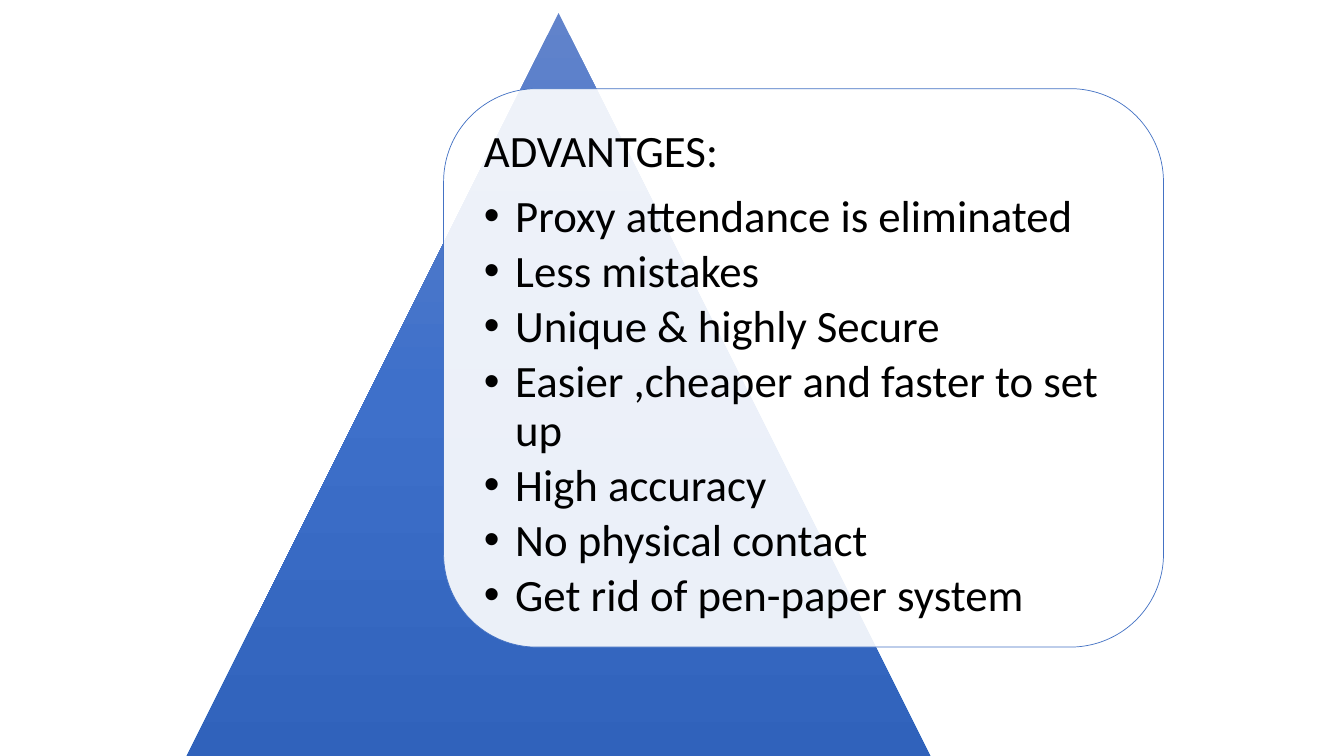
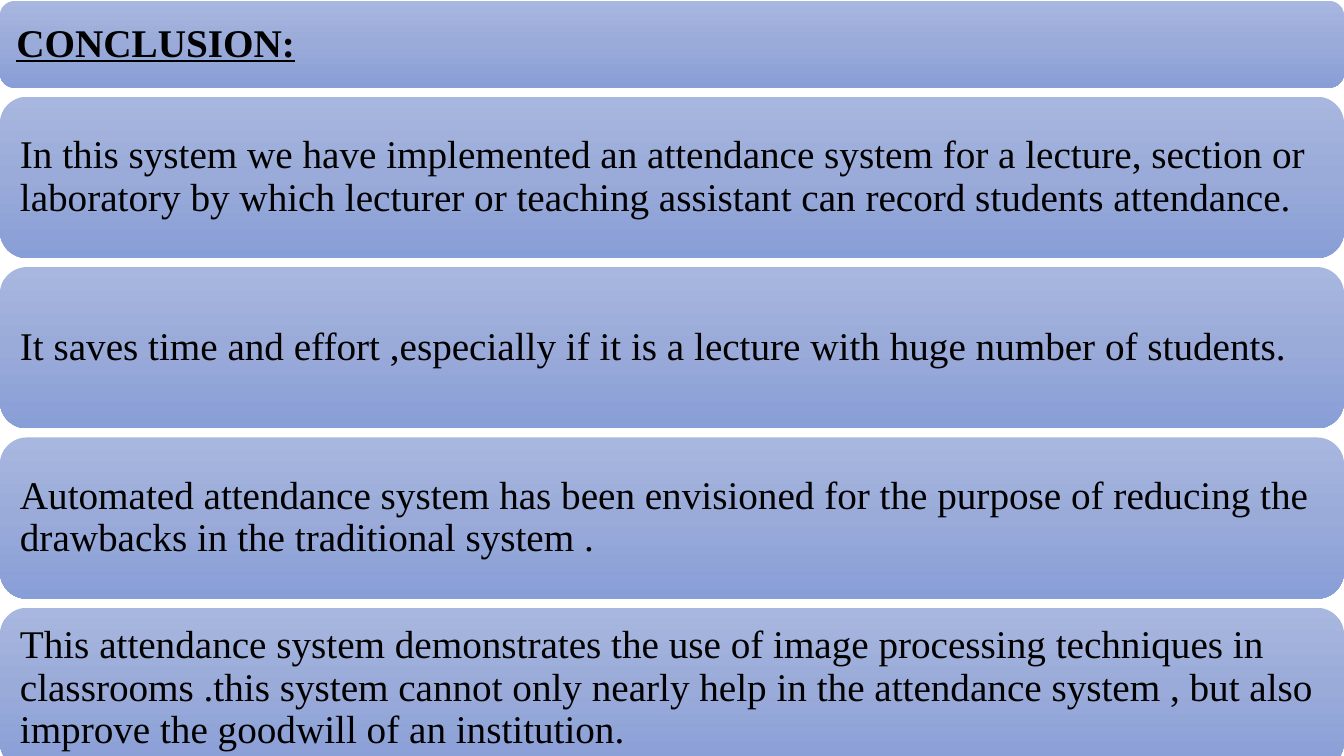
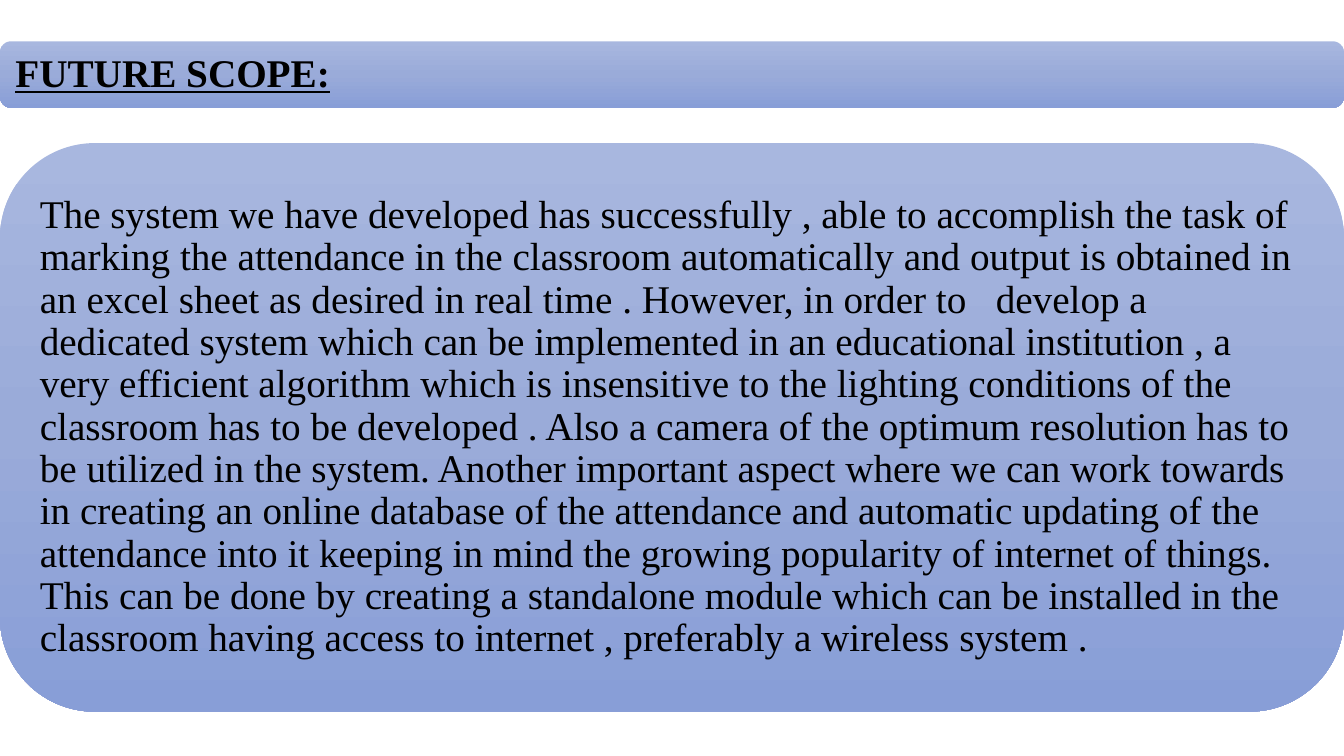
"""Build three slides on an attendance system: advantages, conclusion and future scope."""
from copy import deepcopy

from lxml import etree
from pptx import Presentation
from pptx.dml.color import RGBColor
from pptx.enum import shapes, text
from pptx.oxml import ns
from pptx.util import Inches, Pt

BLACK = RGBColor(0x00, 0x00, 0x00)
WHITE = RGBColor(0xFF, 0xFF, 0xFF)
BLUE = RGBColor(0x44, 0x72, 0xC4)
DEEP_BLUES = [RGBColor(0x61, 0x83, 0xCB), RGBColor(0x3E, 0x70, 0xCA), RGBColor(0x30, 0x62, 0xBB)]
PALE_BLUES = [RGBColor(0xA8, 0xB7, 0xDF), RGBColor(0x9A, 0xAB, 0xD9), RGBColor(0x88, 0x9E, 0xD7)]
WIDTH = 13.33
CORNER_INSET = 0.05
BAND_GAP = 0.09


def add_gradient_shape(page, preset, left, top, width, height, colors):
    """Add a borderless shape with a vertical three-stop gradient."""
    shape = page.shapes.add_shape(
        preset, Inches(left), Inches(top), Inches(width), Inches(height))
    shape.shadow.inherit = False
    shape.line.fill.background()
    shape.fill.gradient()
    shape.fill.gradient_angle = 270
    first_stop = next(shape.element.spPr.iter(ns.qn("a:gs")))
    first_stop.addnext(deepcopy(first_stop))
    for stop, position, color in zip(shape.fill.gradient_stops, (0, 0.5, 1), colors):
        stop.position = position
        stop.color.rgb = color
    return shape


def format_text(box, margin, anchor, font_name, size, heading=False):
    """Set frame, paragraph and run formats of a text shape."""
    frame = box.text_frame
    frame.word_wrap = True
    frame.auto_size = text.MSO_AUTO_SIZE.NONE
    frame.vertical_anchor = anchor
    frame.margin_left = frame.margin_right = Inches(margin)
    frame.margin_top = frame.margin_bottom = Inches(margin)
    for para in frame.paragraphs:
        para.alignment = text.PP_ALIGN.LEFT
        para.line_spacing = 0.9
        para.space_before = Pt(0)
        for span in para.runs:
            span.font.name = font_name
            span.font.size = Pt(size)
            span.font.color.rgb = BLACK
            span.font.bold = span.font.underline = heading


deck = Presentation()
deck.slide_width = Inches(WIDTH)
deck.slide_height = Inches(7.5)

page = deck.slides.add_slide(deck.slide_layouts[1])
add_gradient_shape(page, shapes.MSO_SHAPE.ISOSCELES_TRIANGLE, 1.79, 0.13, 7.5, 7.5, DEEP_BLUES)
card = page.shapes.add_shape(
    shapes.MSO_SHAPE.ROUNDED_RECTANGLE, Inches(4.4), Inches(0.88), Inches(7.14), Inches(5.54))
card.shadow.inherit = False
card.fill.solid()
card.fill.fore_color.rgb = WHITE
card_color = next(card.element.spPr.iter(ns.qn("a:srgbClr")))
etree.SubElement(card_color, ns.qn("a:alpha"), val="90000")
card.line.color.rgb = BLUE
card.line.width = Pt(0.5)

title, body = page.placeholders
title.text_frame.text = "ADVANTGES:"
advantages = [
    "Proxy attendance is eliminated",
    "Less mistakes",
    "Unique & highly Secure",
    "Easier ,cheaper and faster to set up",
    "High accuracy",
    "No physical contact",
    "Get rid of pen-paper system",
]
body.text_frame.text = "\n".join(advantages)
for box, top, height in ((title, 1.15, 0.75), (body, 1.79, 4.5)):
    box.left, box.top = Inches(4.67), Inches(top)
    box.width, box.height = Inches(6.6), Inches(height)
    format_text(box, 0.13, text.MSO_ANCHOR.TOP, "Calibri", 32)
    page.shapes.element.append(box.element)
for para in body.text_frame.paragraphs:
    properties = para._p.get_or_add_pPr()
    properties.set("marL", str(Inches(0.31)))
    properties.set("indent", str(-Inches(0.31)))
    etree.SubElement(properties, ns.qn("a:buChar"), char="•")
    para.space_after = Pt(4.8)

conclusions = [
    "In this system we have implemented an attendance system for a lecture, section or "
    "laboratory by which lecturer or teaching assistant can record students attendance.",
    "It saves time and effort ,especially if it is a lecture with huge number of students.",
    "Automated attendance system has been envisioned for the purpose of reducing the "
    "drawbacks in the traditional system .",
    "This attendance system demonstrates the use of image processing techniques in "
    "classrooms .this system cannot only nearly help in the attendance system , but also "
    "improve the goodwill of an institution.",
]
scope_sentences = [
    "The system we have developed has successfully , able to accomplish the task of marking "
    "the attendance in the classroom automatically and output is obtained in an excel sheet "
    "as desired in real time .",
    "However, in order to   develop a dedicated system which can be implemented in an "
    "educational institution , a very efficient algorithm which is insensitive to the "
    "lighting conditions of the classroom has to be developed .",
    "Also a camera of the optimum resolution has to be utilized in the system.",
    "Another important aspect where we can work towards in creating an online database of "
    "the attendance and automatic updating of the attendance into it keeping in mind the "
    "growing popularity of internet of things.",
    "This can be done by creating a standalone module which can be installed in the "
    "classroom having access to internet , preferably a wireless system .",
]
band_pages = [
    ("CONCLUSION:", 0.01, 0.86, conclusions, 0.96, 1.6),
    ("FUTURE SCOPE:", 0.41, 0.66, [" ".join(scope_sentences)], 1.42, 5.64),
]

for heading, title_top, title_height, statements, first_top, band_height in band_pages:
    page = deck.slides.add_slide(deck.slide_layouts[5])
    add_gradient_shape(page, shapes.MSO_SHAPE.ROUNDED_RECTANGLE,
                       0, title_top, WIDTH, title_height, PALE_BLUES)
    title = page.shapes.title
    inset = title_height * CORNER_INSET
    title.left, title.top = Inches(inset), Inches(title_top + inset)
    title.width, title.height = Inches(WIDTH - 2 * inset), Inches(title_height - 2 * inset)
    title.text_frame.text = heading
    format_text(title, 0.12, text.MSO_ANCHOR.MIDDLE, "Times New Roman", 28, heading=True)
    page.shapes.element.append(title.element)
    for row, statement in enumerate(statements):
        band = add_gradient_shape(page, shapes.MSO_SHAPE.ROUNDED_RECTANGLE,
                                  0, first_top + row * (band_height + BAND_GAP),
                                  WIDTH, band_height, PALE_BLUES)
        band.text_frame.text = statement
        format_text(band, 0.12, text.MSO_ANCHOR.MIDDLE, "Times New Roman", 28)

deck.save("out.pptx")
